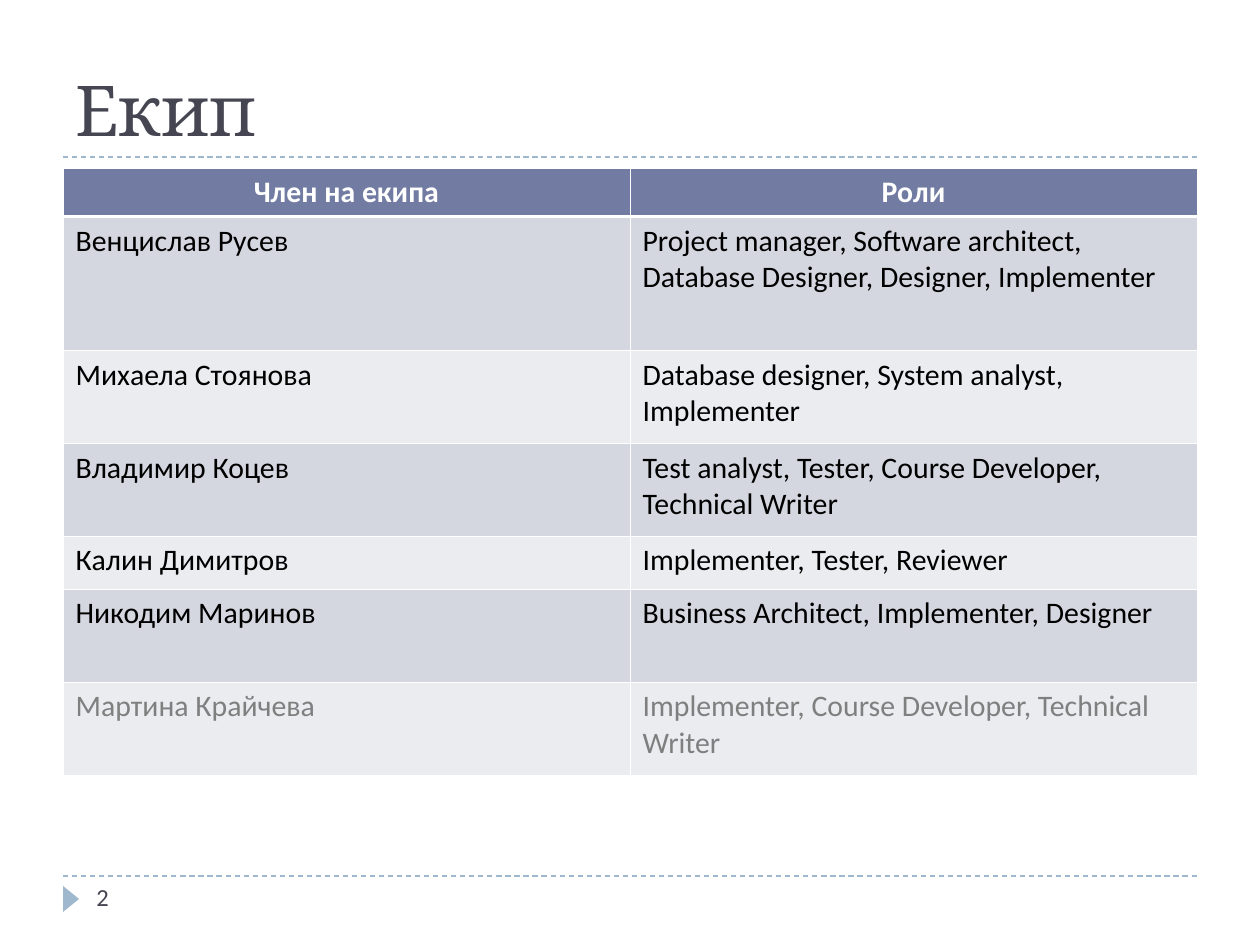
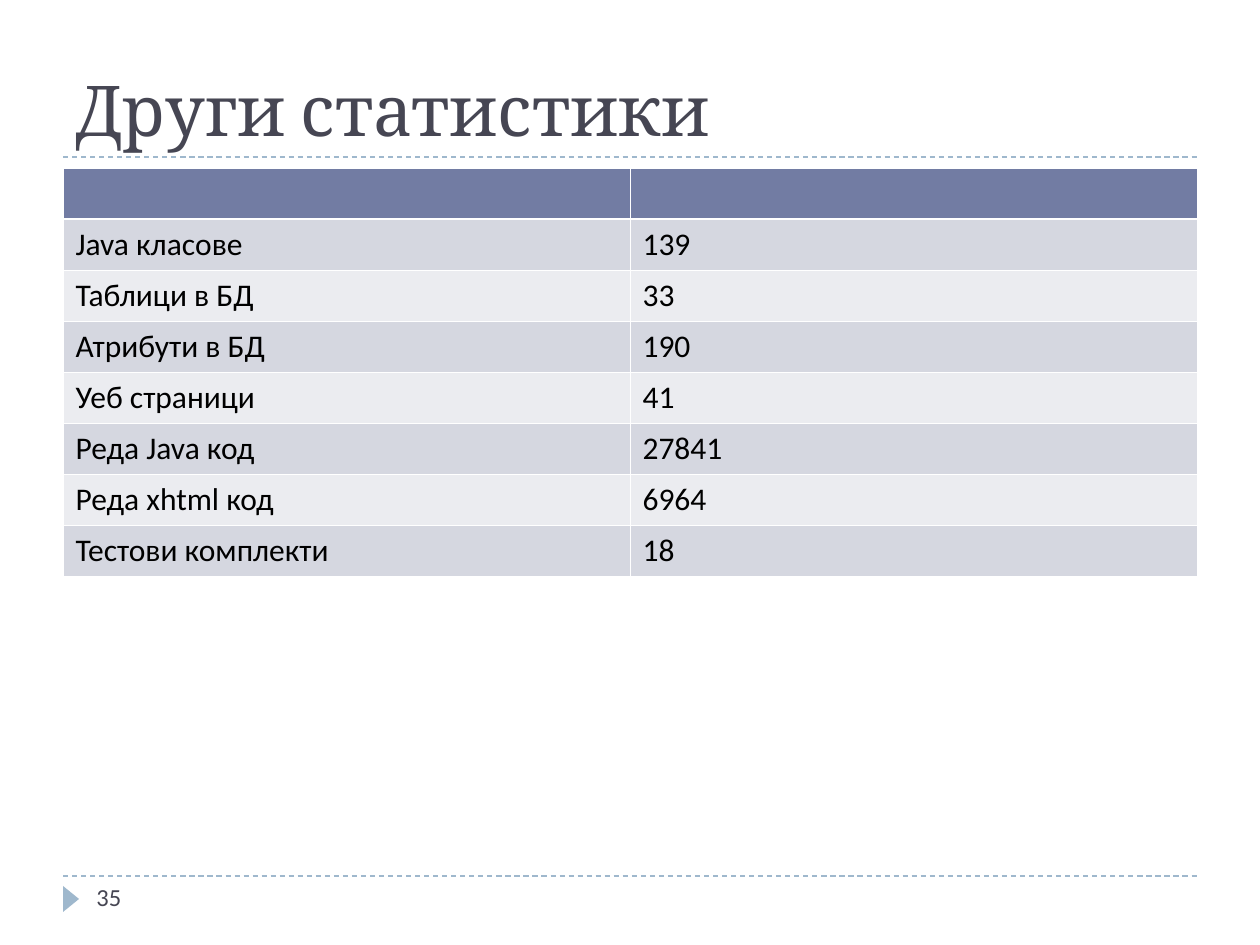
from lxml.etree import SubElement
from pptx import Presentation
from pptx.dml.color import RGBColor
from pptx.enum.dml import MSO_LINE
from pptx.enum.shapes import MSO_CONNECTOR, MSO_SHAPE
from pptx.enum.text import MSO_ANCHOR as ANCHOR, PP_ALIGN as ALIGN
from pptx.oxml.ns import qn
from pptx.util import Emu, Pt

SCALE = 914400 / 126
INK, SKY, WHITE, BLACK, MUTED = "464653", "9FB8CD", "FFFFFF", "000000", "7F7F7F"
HEADER_FILL = "727CA3"
BAND_FILLS = ("D5D7E0", "EBECF0")
BODY_FONT, TITLE_FONT = "Calibri", "Cambria"
LEFT, RIGHT = 63, 1197
TITLE_RULE, FOOTER_RULE = 157, 876
TABLE_TOP = 168
THIN, THICK = 0.45, 1.47

TEAM = [
    ("Член на екипа", "Роли"),
    ("Венцислав Русев", "Project manager, Software architect, Database Designer, Designer, Implementer"),
    ("Михаела Стоянова", "Database designer, System analyst, Implementer"),
    ("Владимир Коцев", "Test analyst, Tester, Course Developer, Technical Writer"),
    ("Калин Димитров", "Implementer, Tester, Reviewer"),
    ("Никодим Маринов", "Business Architect, Implementer, Designer"),
    ("Мартина Крайчева", "Implementer, Course Developer, Technical Writer"),
]
TEAM_HEIGHTS = [48, 134, 93, 93, 53, 93, 93]

STATISTICS = [
    ("", ""),
    ("Java класове", "139"),
    ("Таблици в БД", "33"),
    ("Атрибути в БД", "190"),
    ("Уеб страници", "41"),
    ("Реда Java код", "27841"),
    ("Реда xhtml код", "6964"),
    ("Тестови комплекти", "18"),
]
STATISTICS_HEIGHTS = [51] * len(STATISTICS)


def px(*lengths):
    return [Emu(round(length * SCALE)) for length in lengths]


def colour(value):
    return RGBColor.from_string(value)


def write(frame, text, size=18, font=BODY_FONT, ink=BLACK, bold=False, align=ALIGN.LEFT):
    frame.word_wrap = True
    paragraph = frame.paragraphs[0]
    paragraph.alignment = align
    style = paragraph.font
    if text:
        run = paragraph.add_run()
        run.text = text
        style = run.font
    style.size, style.name, style.bold = Pt(size), font, bold
    style.color.rgb = colour(ink)


def add_label(slide, text, box, anchor=ANCHOR.TOP, **style):
    frame = slide.shapes.add_textbox(*px(*box)).text_frame
    frame.vertical_anchor = anchor
    write(frame, text, **style)


def add_rule(slide, y):
    rule = slide.shapes.add_connector(MSO_CONNECTOR.STRAIGHT, *px(LEFT, y, RIGHT, y))
    rule.line.color.rgb = colour(SKY)
    rule.line.width = Pt(0.75)
    rule.line.dash_style = MSO_LINE.DASH
    SubElement(rule._element.spPr, qn("a:effectLst"))


def add_page_marker(slide):
    marker = slide.shapes.add_shape(MSO_SHAPE.ISOSCELES_TRIANGLE, *px(58, 891, 26, 16))
    marker.rotation = 90
    marker.shadow.inherit = False
    marker.fill.solid()
    marker.fill.fore_color.rgb = colour(SKY)
    marker.line.fill.background()


def set_borders(cell, top, bottom):
    properties = cell._tc.get_or_add_tcPr()
    for side, width in (("L", THIN), ("R", THIN), ("T", top), ("B", bottom)):
        edge = SubElement(properties, qn(f"a:ln{side}"), w=str(Pt(width)))
        SubElement(SubElement(edge, qn("a:solidFill")), qn("a:srgbClr"), val=WHITE)


def format_cell(cell, text, row, size, ink):
    header = row == 0
    set_borders(cell, THICK if row == 1 else THIN, THICK if header else THIN)
    cell.fill.solid()
    cell.fill.fore_color.rgb = colour(HEADER_FILL if header else BAND_FILLS[(row - 1) % 2])
    write(cell.text_frame, text, size=size, ink=WHITE if header else ink,
          bold=header, align=ALIGN.CENTER if header else ALIGN.LEFT)


def add_banded_table(slide, records, heights, size, muted_rows=()):
    columns = len(records[0])
    box = px(LEFT, TABLE_TOP, RIGHT - LEFT, sum(heights))
    table = slide.shapes.add_table(len(records), columns, *box).table
    table.horz_banding = False
    for row, (record, height) in enumerate(zip(records, heights)):
        table.rows[row].height = px(height)[0]
        ink = MUTED if row in muted_rows else BLACK
        for column, text in enumerate(record):
            format_cell(table.cell(row, column), text, row, size, ink)


def add_framed_slide(deck, title, number):
    slide = deck.slides.add_slide(deck.slide_layouts[6])
    add_rule(slide, FOOTER_RULE)
    add_rule(slide, TITLE_RULE)
    add_page_marker(slide)
    add_label(slide, title, (LEFT, 21, RIGHT - LEFT, 136), anchor=ANCHOR.BOTTOM,
              size=40, font=TITLE_FONT, ink=INK)
    add_label(slide, str(number), (84, FOOTER_RULE, 273, 50), size=14, ink=INK)
    return slide


def main():
    deck = Presentation()
    deck.slide_width, deck.slide_height = px(1260, 945)
    team = add_framed_slide(deck, "Екип", 2)
    add_banded_table(team, TEAM, TEAM_HEIGHTS, size=17, muted_rows=(6,))
    statistics = add_framed_slide(deck, "Други статистики", 35)
    add_banded_table(statistics, STATISTICS, STATISTICS_HEIGHTS, size=18)
    deck.save("out.pptx")


if __name__ == "__main__":
    main()
